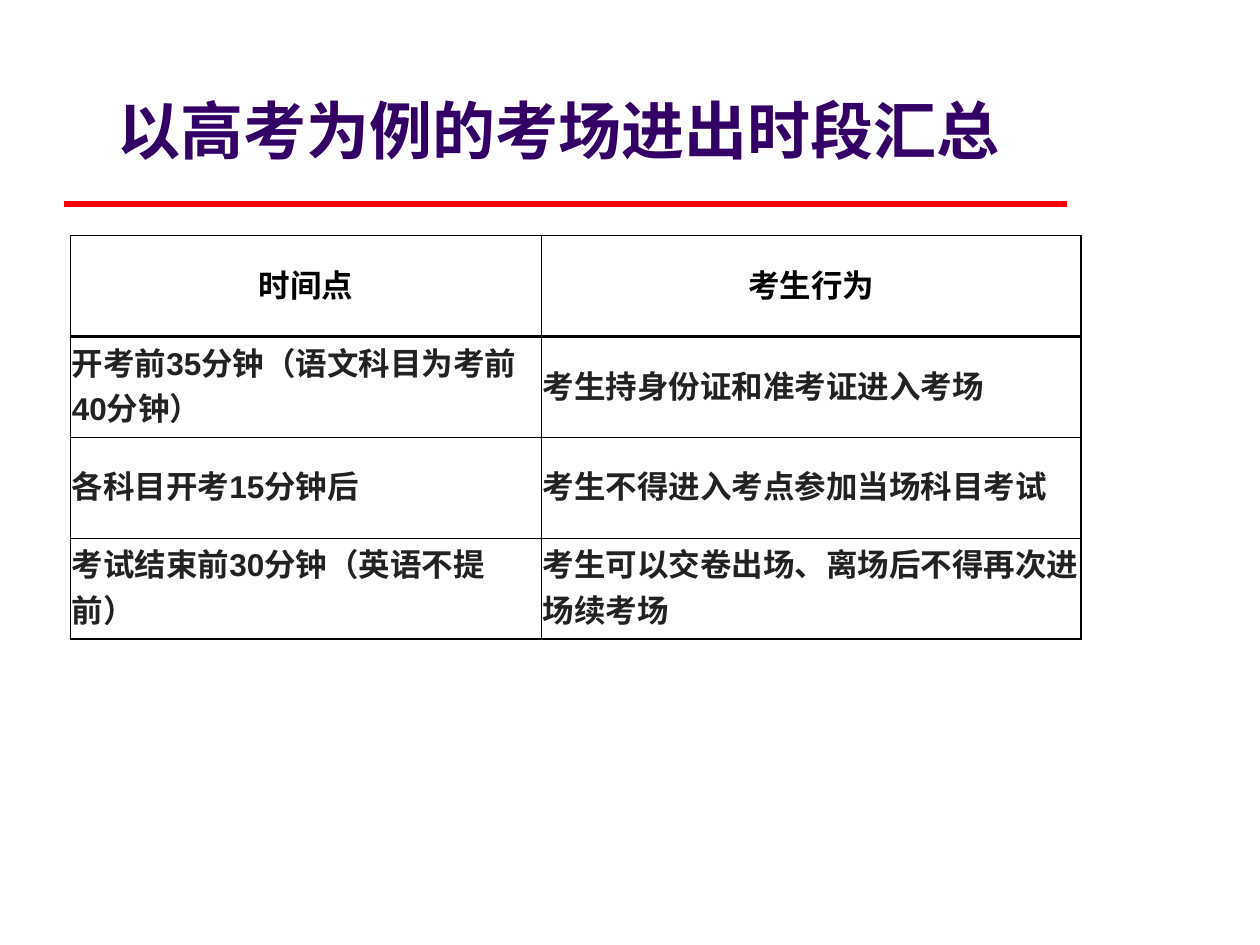
from lxml import etree
from pptx import Presentation
from pptx.dml.color import RGBColor
from pptx.enum import shapes, text
from pptx.oxml import ns
from pptx.util import Inches, Pt

PURPLE = RGBColor(0x33, 0x00, 0x66)
RED = RGBColor(0xFF, 0x00, 0x00)
BLACK = RGBColor(0x00, 0x00, 0x00)
CHARCOAL = RGBColor(0x22, 0x22, 0x22)
LATIN, HAN = "Arial", "Noto Sans CJK SC"

HEADING = "以高考为例的考场进出时段汇总"
SCHEDULE = [
    ([("时间点", LATIN)], [("考生行为", LATIN)]),
    ([("开考前35", LATIN), ("分钟（语文科目为考前", HAN), ("40", LATIN), ("分钟）", HAN)],
     [("考生持身份证和准考证进入考场", LATIN)]),
    ([("各科目开考15", LATIN), ("分钟后", HAN)],
     [("考生不得进入考点参加当场科目考试", LATIN)]),
    ([("考试结束前30", LATIN), ("分钟（英语不提前）", HAN)],
     [("考生可以交卷出场、离场后不得再次进场续考场", LATIN)]),
]
COLUMN_WIDTHS = (3.74, 4.28)
ROW_HEIGHT = 0.8
ROW_RULES = (1, 2, 0.5, 0.5, 1)
COLUMN_RULES = (1, 0.5, 1)
CELL_FORMAT = {
    "margin_left": Inches(0.01), "margin_right": Inches(0.01),
    "margin_top": Inches(0.01), "margin_bottom": Inches(0.05),
    "vertical_anchor": text.MSO_ANCHOR.MIDDLE,
}


def apply(target, values):
    for key, value in values.items():
        setattr(target, key, value)


def add_words(paragraph, words, face, size, color):
    run = paragraph.add_run()
    run.text = words
    apply(run.font, {"name": face, "size": Pt(size), "bold": True})
    run.font.color.rgb = color
    east_asian = etree.SubElement(run.font._element, ns.qn("a:ea"))
    east_asian.set("typeface", HAN)


def add_border(cell, side, points):
    border = etree.SubElement(cell._tc.get_or_add_tcPr(), ns.qn(f"a:ln{side}"), w=str(Pt(points)))
    fill = etree.SubElement(border, ns.qn("a:solidFill"))
    etree.SubElement(fill, ns.qn("a:srgbClr"), val=str(BLACK))


def add_heading(slide):
    heading = slide.shapes.title
    apply(heading, {"left": Inches(0.2), "top": Inches(0.59),
                    "width": Inches(8.47), "height": Inches(0.79)})
    apply(heading.text_frame, {"auto_size": text.MSO_AUTO_SIZE.NONE, "word_wrap": True,
                               "vertical_anchor": text.MSO_ANCHOR.BOTTOM})
    paragraph = heading.text_frame.paragraphs[0]
    paragraph.alignment = text.PP_ALIGN.CENTER
    add_words(paragraph, HEADING, LATIN, 36, PURPLE)


def add_underline(slide):
    underline = slide.shapes.add_connector(
        shapes.MSO_CONNECTOR.STRAIGHT, Inches(0.51), Inches(1.62), Inches(8.47), Inches(1.62))
    underline.line.color.rgb = RED
    underline.line.width = Pt(3)
    etree.SubElement(underline._element.spPr, ns.qn("a:effectLst"))


def add_schedule(slide):
    schedule = slide.shapes.add_table(
        len(SCHEDULE), len(COLUMN_WIDTHS), Inches(0.56), Inches(1.87),
        Inches(sum(COLUMN_WIDTHS)), Inches(ROW_HEIGHT * len(SCHEDULE))).table
    apply(schedule, {"first_row": False, "horz_banding": False})
    for column, width in zip(schedule.columns, COLUMN_WIDTHS):
        column.width = Inches(width)
    for r, entries in enumerate(SCHEDULE):
        schedule.rows[r].height = Inches(ROW_HEIGHT)
        for c, pieces in enumerate(entries):
            cell = schedule.cell(r, c)
            apply(cell, CELL_FORMAT)
            borders = {"L": COLUMN_RULES[c], "R": COLUMN_RULES[c + 1],
                       "T": ROW_RULES[r], "B": ROW_RULES[r + 1]}
            for side, points in borders.items():
                add_border(cell, side, points)
            cell.fill.background()
            paragraph = cell.text_frame.paragraphs[0]
            paragraph.alignment = text.PP_ALIGN.LEFT if r else text.PP_ALIGN.CENTER
            for words, face in pieces:
                add_words(paragraph, words, face, 18, CHARCOAL if r else BLACK)


def main():
    deck = Presentation()
    apply(deck, {"slide_width": Inches(10), "slide_height": Inches(7.5)})
    slide = deck.slides.add_slide(deck.slide_layouts[5])
    add_underline(slide)
    add_heading(slide)
    add_schedule(slide)
    deck.save("out.pptx")


if __name__ == "__main__":
    main()
